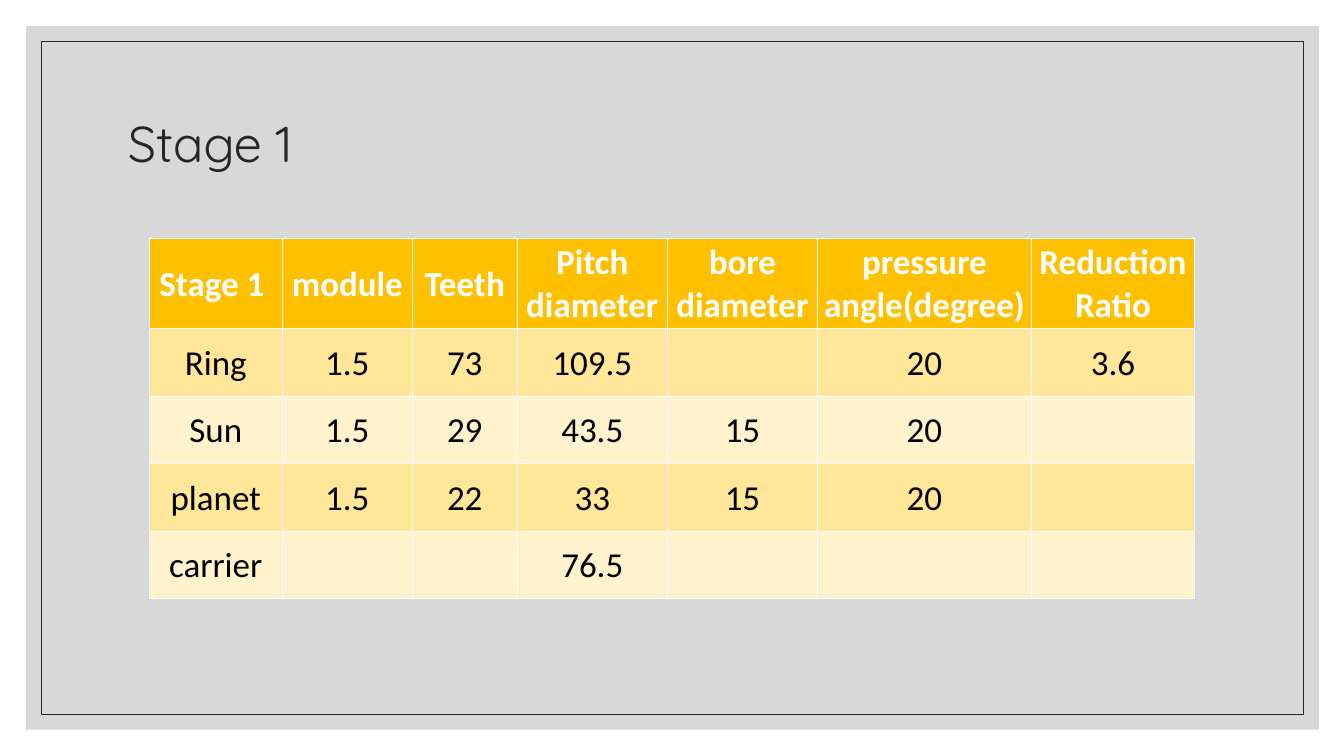
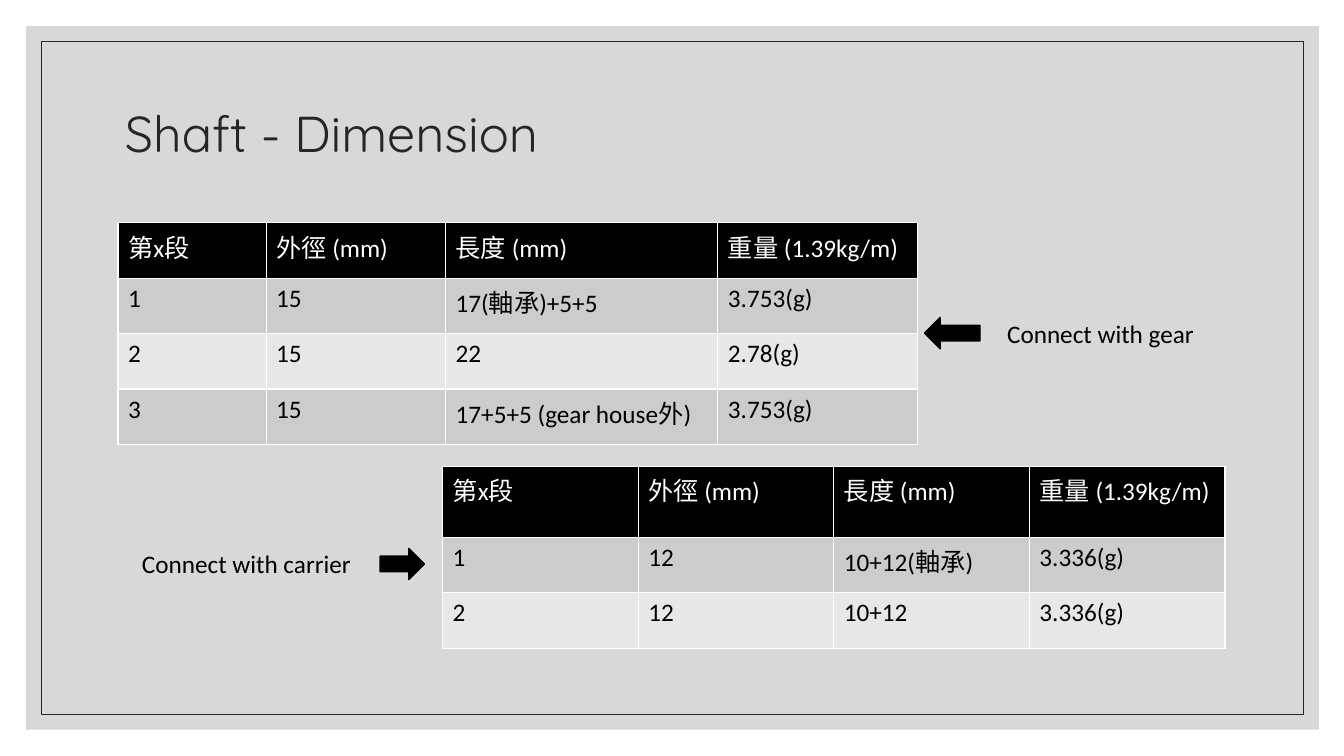
from lxml import etree
from pptx import Presentation
from pptx import util as u
from pptx.dml.color import RGBColor
from pptx.enum import shapes, text
from pptx.oxml import ns

WHITE = RGBColor(0xFF, 0xFF, 0xFF)
BLACK = RGBColor(0, 0, 0)
INK = RGBColor(0x26, 0x26, 0x26)
PANEL = RGBColor(0xBF, 0xBF, 0xBF)
GOLD = (RGBColor(0xFF, 0xC0, 0x00), RGBColor(0xFF, 0xE6, 0x99), RGBColor(0xFF, 0xF2, 0xCC))
MONO = (BLACK, RGBColor(0xCC, 0xCC, 0xCC), RGBColor(0xE7, 0xE7, 0xE7))

TITLE_FONT = "Quicksand"
BODY_FONT = "Calibri"
BODY_SIZE = 18


class Deck:
    def __init__(self):
        self.file = Presentation()
        self.file.slide_width = u.Inches(13.33)
        self.file.slide_height = u.Inches(7.5)
        self.slide = None

    def page(self, heading, left, top):
        self.slide = self.file.slides.add_slide(self.file.slide_layouts[6])
        panel = self.shape(shapes.MSO_SHAPE.RECTANGLE, (0.26, 0.26, 12.82, 6.98), fill=PANEL)
        tint = panel.fill._xPr.find(".//" + ns.qn("a:srgbClr"))
        etree.SubElement(tint, ns.qn("a:alpha"), val="60000")
        self.shape(shapes.MSO_SHAPE.RECTANGLE, (0.41, 0.41, 12.52, 6.68), line=INK, weight=0.5)
        title = self.textbox((left, top, 11, 1.5))
        title.word_wrap = True
        title.vertical_anchor = text.MSO_ANCHOR.MIDDLE
        title.paragraphs[0].line_spacing = 0.9
        self.run(title, heading, 36, INK, font=TITLE_FONT)

    def shape(self, kind, box, fill=None, line=None, weight=1):
        shape = self.slide.shapes.add_shape(kind, *map(u.Inches, box))
        shape.shadow.inherit = False
        if fill is None:
            shape.fill.background()
        else:
            shape.fill.solid()
            shape.fill.fore_color.rgb = fill
        if line is None:
            shape.line.fill.background()
        else:
            shape.line.color.rgb = line
            shape.line.width = u.Pt(weight)
        return shape

    def arrow(self, kind, box):
        self.shape(kind, box, fill=BLACK, line=BLACK)

    def textbox(self, box):
        return self.slide.shapes.add_textbox(*map(u.Inches, box)).text_frame

    def label(self, words, box):
        frame = self.textbox(box)
        frame.word_wrap = False
        frame.auto_size = text.MSO_AUTO_SIZE.SHAPE_TO_FIT_TEXT
        self.run(frame, words, BODY_SIZE, BLACK)

    def run(self, frame, words, size, color, bold=False, font=BODY_FONT):
        run = frame.paragraphs[0].add_run()
        run.text = words
        run.font.name = font
        run.font.size = u.Pt(size)
        run.font.bold = bold
        run.font.color.rgb = color

    def table(self, left, top, widths, heights, rows, fills, size=BODY_SIZE,
              border=1, centred=False):
        grid = self.slide.shapes.add_table(
            len(rows), len(widths), u.Inches(left), u.Inches(top),
            u.Inches(sum(widths)), u.Inches(sum(heights))).table
        grid.first_row = grid.horz_banding = False
        for column, width in zip(grid.columns, widths):
            column.width = u.Inches(width)
        for row, height in zip(grid.rows, heights):
            row.height = u.Inches(height)
        header, odd, even = fills
        for r, values in enumerate(rows):
            fill = header if r == 0 else odd if r % 2 else even
            for c, value in enumerate(values):
                cell = grid.cell(r, c)
                self.borders(cell, border)
                cell.fill.solid()
                cell.fill.fore_color.rgb = fill
                if centred:
                    cell.vertical_anchor = text.MSO_ANCHOR.MIDDLE
                    cell.margin_left = cell.margin_right = cell.margin_top = u.Inches(0.02)
                    cell.margin_bottom = 0
                    cell.text_frame.paragraphs[0].alignment = text.PP_ALIGN.CENTER
                if value:
                    self.run(cell.text_frame, value, size, BLACK if r else WHITE,
                             bold=centred and r == 0)

    def borders(self, cell, weight):
        properties = cell._tc.get_or_add_tcPr()
        for side in ("lnL", "lnR", "lnT", "lnB"):
            edge = etree.SubElement(properties, ns.qn("a:" + side), w=str(u.Pt(weight)))
            paint = etree.SubElement(edge, ns.qn("a:solidFill"))
            etree.SubElement(paint, ns.qn("a:srgbClr"), val=str(WHITE))


def stage_page(deck):
    deck.page("Stage 1", 1.17, 0.7)
    gears = [
        ("Stage 1 ", "module", "Teeth", "Pitch diameter", "bore diameter",
         "pressure angle(degree)", "Reduction Ratio"),
        ("Ring", "1.5", "73", "109.5", "", "20", "3.6"),
        ("Sun", "1.5", "29", "43.5", "15", "20", ""),
        ("planet", "1.5", "22", "33", "15", "20", ""),
        ("carrier", "", "", "76.5", "", "", ""),
    ]
    deck.table(1.48, 2.36, (1.32, 1.29, 1.04, 1.49, 1.49, 2.12, 1.62),
               [0.9] + [0.67] * 4, gears, GOLD, size=25, border=0.5, centred=True)


def shaft_page(deck):
    deck.page("Shaft - Dimension", 1.14, 0.6)
    header = ("第x段", "外徑 (mm)", "長度 (mm)", "重量 (1.39kg/m)")
    carrier_shaft = [
        header,
        ("1", "12", "10+12(軸承)", "3.336(g)"),
        ("2", "12", "10+12", "3.336(g)"),
    ]
    gear_shaft = [
        header,
        ("1", "15", "17(軸承)+5+5", "3.753(g)"),
        ("2", "15", "22", "2.78(g)"),
        ("3", "15", "17+5+5 (gear house外)", "3.753(g)"),
    ]
    deck.table(4.39, 4.63, [1.94] * 4, [0.55] * 3, carrier_shaft, MONO)
    deck.table(1.17, 2.21, (1.47, 1.78, 2.7, 1.98), [0.55] * 4, gear_shaft, MONO)
    deck.label("Connect with gear", (9.89, 3.11, 2.11, 0.4))
    deck.arrow(shapes.MSO_SHAPE.LEFT_ARROW, (9.17, 3.15, 0.55, 0.31))
    deck.arrow(shapes.MSO_SHAPE.RIGHT_ARROW, (3.77, 5.44, 0.44, 0.31))
    deck.label("Connect with carrier", (1.31, 5.39, 2.37, 0.4))


def main():
    deck = Deck()
    stage_page(deck)
    shaft_page(deck)
    deck.file.save("out.pptx")


if __name__ == "__main__":
    main()
